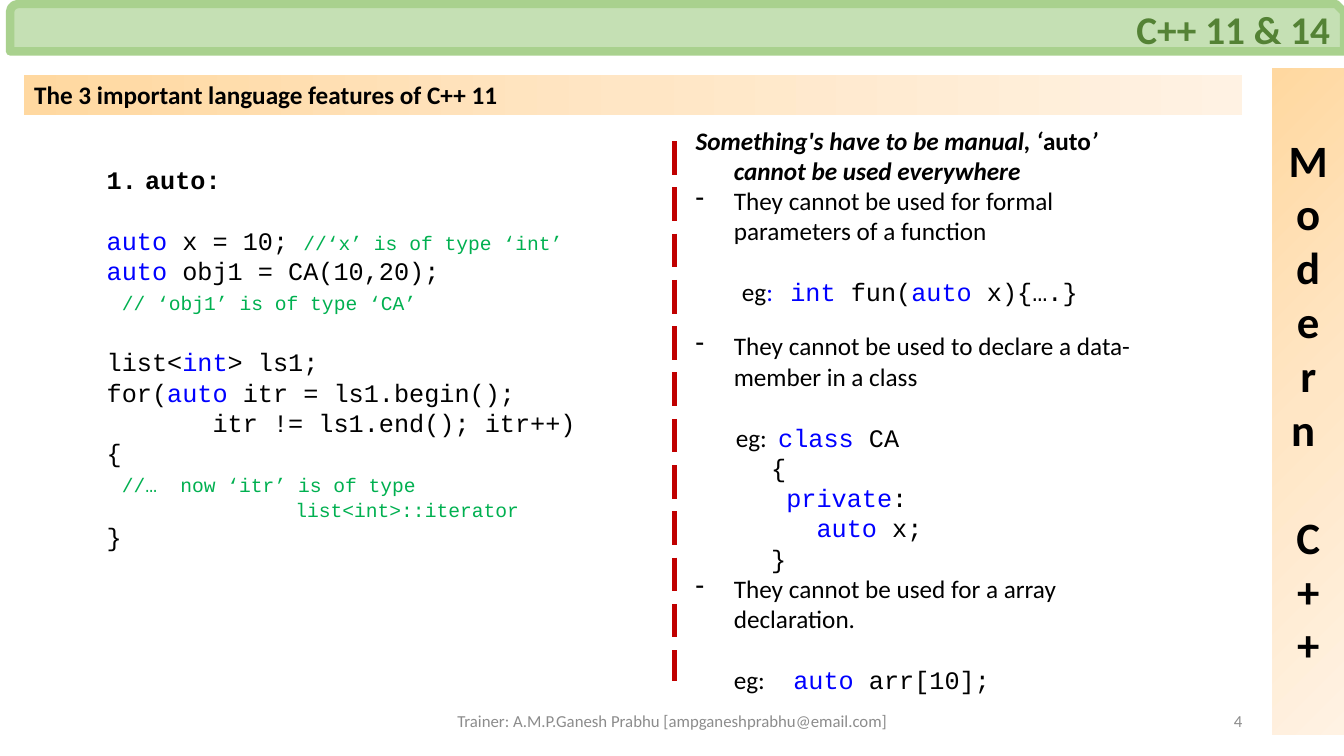
from dataclasses import dataclass
from typing import Any

from lxml.etree import SubElement
from pptx import Presentation
from pptx.dml.color import RGBColor
from pptx.enum.dml import MSO_LINE
from pptx.enum.shapes import MSO_CONNECTOR, MSO_SHAPE
from pptx.enum.text import MSO_ANCHOR, PP_ALIGN
from pptx.oxml import parse_xml
from pptx.oxml.ns import nsdecls, qn
from pptx.util import Inches, Pt


@dataclass(frozen=True)
class Theme:
    """Colours, fonts and type sizes of the slide."""
    black: str = "000000"
    keyword: str = "0000FF"
    comment: str = "00B050"
    muted: str = "8C8C8C"
    title: str = "548235"
    header: str = "C5E0B4"
    header_edge: str = "A9D18E"
    divider: str = "C00000"
    gradient: tuple[str, ...] = ("FFD8A0", "FFE6C5", "FFF2E3")
    prose: str = "Calibri"
    mono: str = "Courier New"
    small: int = 12
    remark: int = 14
    body: int = 18
    heading: int = 28
    spine: int = 32


THEME = Theme()


@dataclass(frozen=True)
class Span:
    """A stretch of text in one format."""
    text: str
    size: int = THEME.body
    color: str = THEME.black
    name: str = THEME.prose
    bold: bool = False
    italic: bool = False


@dataclass(frozen=True)
class Para:
    """A paragraph with left margin and first-line indent in inches."""
    spans: tuple[Span, ...]
    left: float = 0
    indent: float = 0
    before: float = 0
    bullet: str = ""
    align: PP_ALIGN = PP_ALIGN.LEFT


@dataclass(frozen=True)
class Area:
    """A rectangle in inches."""
    left: float
    top: float
    width: float
    height: float

    def lengths(self) -> list[int]:
        """Return the rectangle as slide lengths."""
        return [Inches(v) for v in (self.left, self.top, self.width, self.height)]


HANG = 0.38
BLANK = 22


def code(text: str) -> Span:
    """Return plain code."""
    return Span(text, name=THEME.mono)


def key(text: str) -> Span:
    """Return a code keyword."""
    return Span(text, name=THEME.mono, color=THEME.keyword)


def remark(text: str) -> Span:
    """Return a code comment."""
    return Span(text, THEME.remark, THEME.comment, THEME.mono)


def line(*spans: Span, left: float = 0, before: float = 0) -> Para:
    """Return a line of code."""
    return Para(spans, left=left, before=before)


def point(text: str, before: float = 0) -> Para:
    """Return a dashed list item."""
    return Para((Span(text),), HANG, -HANG, before, "-")


def example(start: float, stop: float, *spans: Span) -> Para:
    """Return an example whose code begins at a tab stop."""
    return Para(spans, stop, round(start - stop, 2), BLANK)


def emphasis(text: str, italic: bool = True) -> Span:
    """Return bold body text."""
    return Span(text, bold=True, italic=italic)


AUTO_CODE = [
    Para((Span("auto:", name=THEME.mono, bold=True),), HANG, -HANG, bullet="1."),
    line(key("auto"), code(" x = 10; "), remark("//‘x’ is of type ‘int’"), before=BLANK),
    line(key("auto"), code(" obj1 = CA(10,20);")),
    line(code(" "), remark("// ‘obj1’ is of type ‘CA’")),
    line(code("list<"), key("int"), code("> ls1;"), before=BLANK),
    line(code("for("), key("auto "), code("itr = ls1.begin();")),
    line(code("itr != ls1.end(); itr++)"), left=1.05),
    line(code("{")),
    Para((code(" "), remark("//…\tnow ‘itr’ is of type")), 0.73, -0.73),
    line(remark("list<int>::iterator"), left=1.87),
    line(code("}")),
]

AUTO_LIMITS = [
    Para((emphasis("Something's have to be manual, ‘"), emphasis("auto", False),
          emphasis("’ cannot be used everywhere")), HANG, -HANG),
    point("They cannot be used for formal parameters of a function"),
    example(0.46, 0.94, Span("eg"), Span(":\t", color=THEME.keyword), key("int "),
            code("fun("), key("auto"), code(" x){….}")),
    point("They cannot be used to declare a data-member in a class", 17),
    example(0.4, 0.82, Span("eg:\t"), key("class"), code(" CA")),
    line(code("{"), left=0.75),
    line(key("private"), code(":"), left=0.9),
    line(key("auto"), code(" x;"), left=1.2),
    line(code("}"), left=0.75),
    point("They cannot be used for a array declaration."),
    example(HANG, 0.97, Span("eg:\t"), key("auto "), code("arr[10];")),
]

SPINE = [Para((Span(letter, THEME.spine, bold=True),), align=PP_ALIGN.CENTER,
              before=39 if letter == "C" else 0)
         for letter in ("M", "o", "d", "e", "r", "n ", "C", "+", "+")]


def write(shape: Any, paras: list[Para], anchor: MSO_ANCHOR) -> None:
    """Fill a shape with formatted paragraphs."""
    frame = shape.text_frame
    frame.word_wrap = True
    frame.vertical_anchor = anchor
    for index, item in enumerate(paras):
        para = frame.add_paragraph() if index else frame.paragraphs[0]
        formats = {"alignment": item.align, "space_before": Pt(item.before)}
        for name, value in formats.items():
            setattr(para, name, value)
        properties = para._p.get_or_add_pPr()
        properties.set("marL", str(Inches(item.left)))
        properties.set("indent", str(Inches(item.indent)))
        if item.bullet == "1.":
            SubElement(properties, qn("a:buAutoNum"), type="arabicPeriod")
        elif item.bullet:
            SubElement(properties, qn("a:buChar"), char=item.bullet)
        for span in item.spans:
            run = para.add_run()
            run.text = span.text
            formats = {"size": Pt(span.size), "name": span.name,
                       "bold": span.bold, "italic": span.italic}
            for name, value in formats.items():
                setattr(run.font, name, value)
            run.font.color.rgb = RGBColor.from_string(span.color)


def add_text(page: Any, area: Area, paras: list[Para],
             anchor: MSO_ANCHOR = MSO_ANCHOR.TOP) -> None:
    """Add a text box."""
    write(page.shapes.add_textbox(*area.lengths()), paras, anchor)


def add_panel(page: Any, kind: MSO_SHAPE, area: Area, paras: list[Para],
              anchor: MSO_ANCHOR = MSO_ANCHOR.MIDDLE) -> Any:
    """Add a borderless shape with text."""
    panel = page.shapes.add_shape(kind, *area.lengths())
    panel.shadow.inherit = False
    panel.line.fill.background()
    write(panel, paras, anchor)
    return panel


def shade(panel: Any, direction: str) -> None:
    """Give a panel the theme gradient."""
    stops = "".join(f'<a:gs pos="{index * 50000}"><a:srgbClr val="{color}"/></a:gs>'
                    for index, color in enumerate(THEME.gradient))
    gradient = f'<a:gradFill {nsdecls("a")}><a:gsLst>{stops}</a:gsLst>{direction}</a:gradFill>'
    panel._element.spPr.find(qn("a:prstGeom")).addnext(parse_xml(gradient))


def main() -> None:
    """Build and save the slide."""
    deck = Presentation()
    deck.slide_width, deck.slide_height = Inches(13.33), Inches(7.5)
    page = deck.slides.add_slide(deck.slide_layouts[6])
    topic = Para((emphasis("The 3 important language features of C++ 11", False),))
    shade(add_panel(page, MSO_SHAPE.RECTANGLE, Area(0.24, 0.74, 12.08, 0.4), [topic],
                    MSO_ANCHOR.TOP), '<a:lin ang="0" scaled="0"/>')
    add_text(page, Area(0.96, 1.58, 4.88, 4.34), AUTO_CODE)
    add_text(page, Area(6.8, 1.19, 4.72, 5.79), AUTO_LIMITS)

    ends = [Inches(value) for value in (6.69, 1.4, 6.69, 6.76)]
    divider = page.shapes.add_connector(MSO_CONNECTOR.STRAIGHT, *ends)
    divider.line.color.rgb = RGBColor.from_string(THEME.divider)
    for name, value in {"width": Pt(3), "dash_style": MSO_LINE.LONG_DASH}.items():
        setattr(divider.line, name, value)
    SubElement(divider._element.spPr, qn("a:effectLst"))

    for text, left, width, align in (
            ("Trainer: A.M.P.Ganesh Prabhu [ampganeshprabhu@email.com]", 4.42, 4.5, PP_ALIGN.CENTER),
            ("4", 9.42, 3, PP_ALIGN.RIGHT)):
        footer = Para((Span(text, THEME.small, THEME.muted),), align=align)
        add_text(page, Area(left, 6.95, width, 0.4), [footer], MSO_ANCHOR.MIDDLE)

    shade(add_panel(page, MSO_SHAPE.RECTANGLE, Area(12.62, 0.68, 0.71, 6.61), SPINE),
          '<a:path path="circle"><a:fillToRect r="100000" b="100000"/></a:path>')
    title = Para((Span("C++ 11 & 14", THEME.heading, THEME.title, bold=True),), align=PP_ALIGN.RIGHT)
    header = add_panel(page, MSO_SHAPE.SNIP_ROUND_RECTANGLE, Area(0.1, 0.04, 13.23, 0.47), [title])
    header.fill.solid()
    header.fill.fore_color.rgb = RGBColor.from_string(THEME.header)
    header.line.color.rgb = RGBColor.from_string(THEME.header_edge)
    header.line.width = Pt(6)
    deck.save("out.pptx")


if __name__ == "__main__":
    main()
